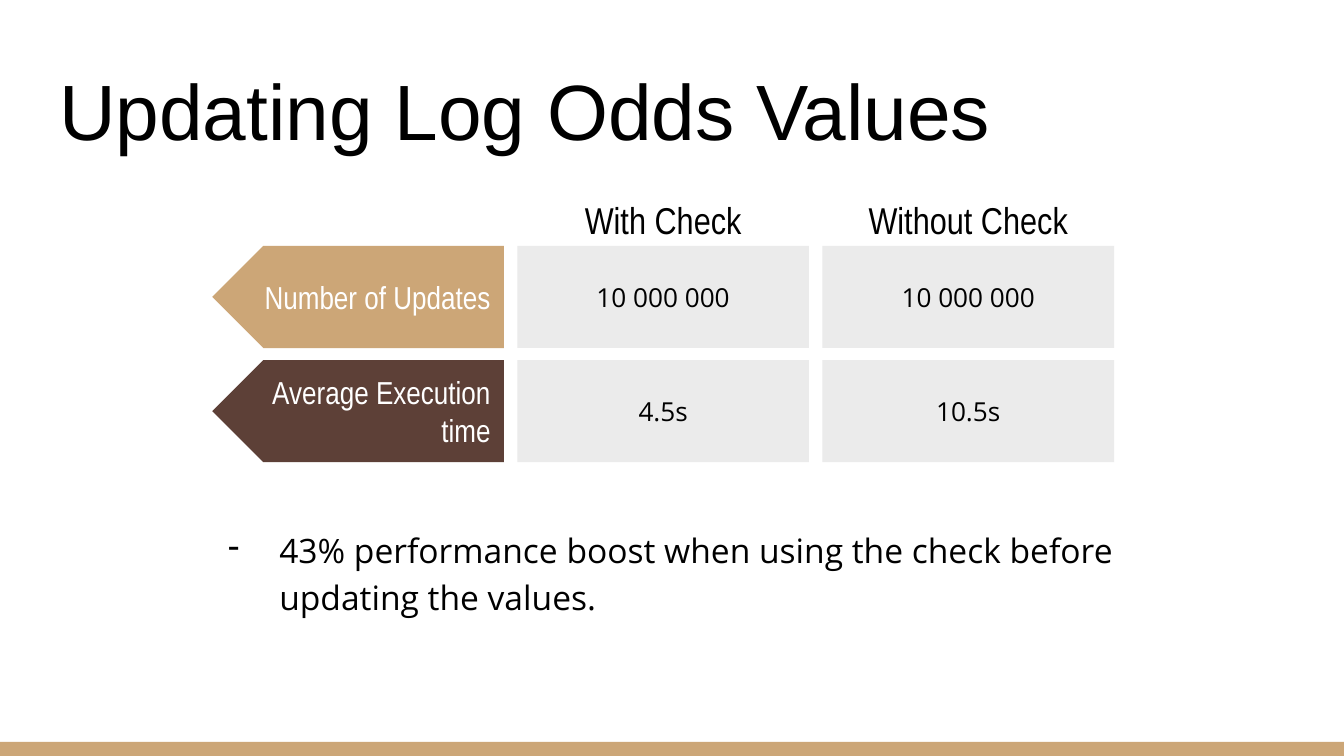
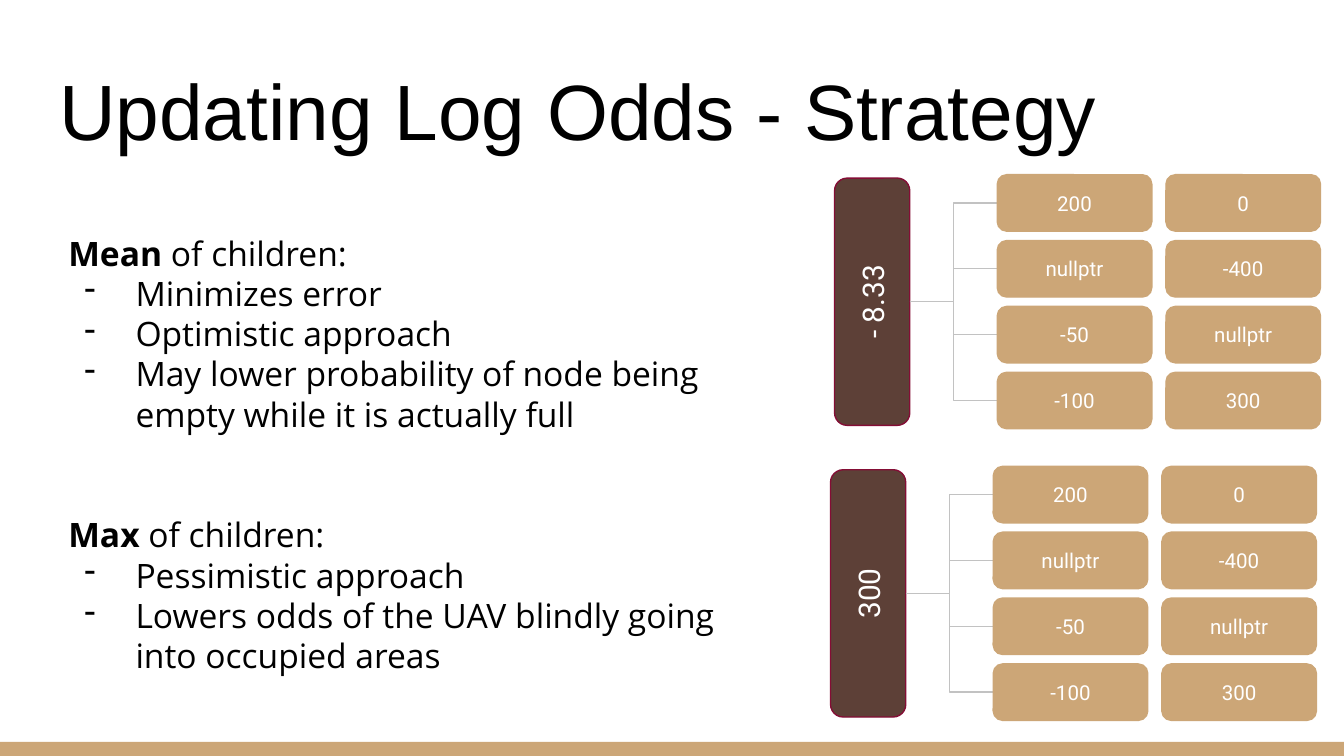
from dataclasses import dataclass

from lxml.etree import SubElement
from pptx import Presentation
from pptx.dml.color import RGBColor
from pptx.enum.shapes import MSO_CONNECTOR as Connector, MSO_SHAPE as Shape
from pptx.enum.text import MSO_ANCHOR as Anchor, MSO_AUTO_SIZE as AutoSize, PP_ALIGN as Align
from pptx.oxml.ns import qn
from pptx.util import Pt

SCALE = 4572
WIDTH, HEIGHT = 2000, 1125
INSET = 20
LEAVES = [("200", "0"), ("nullptr", "-400"), ("-50", "nullptr"), ("-100", "300")]


@dataclass(frozen=True)
class Theme:
    """Colours, fonts and type sizes."""
    tan: str = "CCA677"
    brown: str = "5D4037"
    wine: str = "840D35"
    gray: str = "EBEBEB"
    wire: str = "C2C2C2"
    black: str = "000000"
    white: str = "FFFFFF"
    title_font: str = "Arial"
    label_font: str = "Arial Narrow"
    body_font: str = "Open Sans"
    node_font: str = "Roboto"
    title_size: int = 42
    header_size: int = 20
    body_size: int = 18
    label_size: int = 17
    root_size: int = 16
    value_size: int = 14
    leaf_size: int = 11
    line_width: float = 0.75


def px(*lengths):
    """Turn pixel lengths into EMU."""
    return [length * SCALE for length in lengths]


def write(para, text, *, font, size, color, bold=False, align=Align.LEFT):
    """Add a formatted span to a paragraph."""
    para.alignment = align
    span = para.add_run()
    span.text = text
    span.font.name = font
    span.font.size = Pt(size)
    span.font.bold = bold
    span.font.color.rgb = RGBColor.from_string(color)


def set_dash(para, color):
    """Give a paragraph a hanging dash bullet."""
    props = para._p.get_or_add_pPr()
    indent, hang = px(100, -76)
    props.set("marL", str(indent))
    props.set("indent", str(hang))
    tint = SubElement(props, qn("a:buClr"))
    SubElement(tint, qn("a:srgbClr"), val=color)
    SubElement(props, qn("a:buChar"), char="-")


class Slides:
    """Hold the deck, its theme and the current page."""

    def __init__(self, theme):
        """Start an empty deck."""
        self.theme = theme
        self.deck = Presentation()
        self.deck.slide_width, self.deck.slide_height = px(WIDTH, HEIGHT)
        self.page = None

    def add_page(self, title):
        """Start a page with the bottom band and a title."""
        theme = self.theme
        self.page = self.deck.slides.add_slide(self.deck.slide_layouts[5])
        self.shape(Shape.RECTANGLE, 0, 1104, WIDTH, 21, theme.tan)
        box = self.page.shapes.title
        box.left, box.top, box.width, box.height = px(68, 70, 1864, 182)
        frame = self.frame(box, Anchor.BOTTOM)
        write(frame.paragraphs[0], title, font=theme.title_font,
              size=theme.title_size, color=theme.black)

    def frame(self, box, anchor):
        """Set the insets, wrapping and anchor of a text frame."""
        frame = box.text_frame
        frame.auto_size = AutoSize.NONE
        frame.word_wrap = True
        frame.vertical_anchor = anchor
        (inset,) = px(INSET)
        frame.margin_left = frame.margin_right = inset
        frame.margin_top = frame.margin_bottom = inset
        return frame

    def text_box(self, x, y, width, height, anchor=Anchor.MIDDLE):
        """Add an empty text box and return its frame."""
        box = self.page.shapes.add_textbox(*px(x, y, width, height))
        return self.frame(box, anchor)

    def label(self, text, x, y, width, height, **style):
        """Add a text box with one line of text."""
        write(self.text_box(x, y, width, height).paragraphs[0], text, **style)

    def shape(self, kind, x, y, width, height, fill, line=None, text=None, **style):
        """Add a filled shape, with centred text if given."""
        shape = self.page.shapes.add_shape(kind, *px(x, y, width, height))
        shape.shadow.inherit = False
        shape.fill.solid()
        shape.fill.fore_color.rgb = RGBColor.from_string(fill)
        if line:
            shape.line.color.rgb = RGBColor.from_string(line)
            shape.line.width = Pt(self.theme.line_width)
        else:
            shape.line.fill.background()
        if text:
            frame = self.frame(shape, Anchor.MIDDLE)
            write(frame.paragraphs[0], text, align=Align.CENTER, **style)
        return shape

    def left_arrow(self, x, y, width, height, fill):
        """Add a pentagon that points left."""
        arrow = self.shape(Shape.PENTAGON, x, y, width, height, fill)
        arrow.element.spPr.find(qn("a:xfrm")).set("flipH", "1")

    def elbow(self, x1, y1, x2, y2):
        """Add a thin elbow connector."""
        wire = self.page.shapes.add_connector(Connector.ELBOW, *px(x1, y1, x2, y2))
        wire.line.color.rgb = RGBColor.from_string(self.theme.wire)
        wire.line.width = Pt(self.theme.line_width)
        SubElement(wire.element.spPr, qn("a:effectLst"))

    def dash_item(self, para, text):
        """Fill a paragraph as a dashed list item."""
        theme = self.theme
        write(para, text, font=theme.body_font, size=theme.body_size, color=theme.black)
        set_dash(para, theme.black)

    def tree(self, x, y, root):
        """Draw a root node wired to rows of two leaves."""
        theme = self.theme
        leaf_width, leaf_height, row_pitch, column_pitch = 230, 84, 98, 251
        root_width, root_length, gap = 112, 368, 130
        root_right = x - gap
        middle = y + (3 * row_pitch + leaf_height) // 2
        node = self.shape(Shape.ROUNDED_RECTANGLE,
                          root_right - (root_width + root_length) // 2,
                          middle - root_width // 2, root_length, root_width,
                          theme.brown, theme.wine, root, font=theme.node_font,
                          size=theme.root_size, color=theme.white)
        node.rotation = 270
        for row, values in enumerate(LEAVES):
            top = y + row * row_pitch
            self.elbow(root_right, middle, x, top + leaf_height // 2)
            for column, value in enumerate(values):
                self.shape(Shape.ROUNDED_RECTANGLE, x + column * column_pitch, top,
                           leaf_width, leaf_height, theme.tan, theme.tan, value,
                           font=theme.node_font, size=theme.leaf_size, color=theme.white)


def build_values(slides):
    """Build the comparison of updates with and without the check."""
    theme = slides.theme
    slides.add_page("Updating Log Odds Values")
    left, top, width, height = 316, 366, 434, 152
    column_pitch, row_pitch = 454, 170
    columns = [left + column_pitch * step for step in (1, 2)]
    for x, header in zip(columns, ("With Check", "Without Check")):
        slides.label(header, x, 288, width, 78, font=theme.label_font,
                     size=theme.header_size, color=theme.black, align=Align.CENTER)
    rows = [("Number of Updates", theme.tan, ("10 000 000", "10 000 000")),
            ("Average Execution time", theme.brown, ("4.5s", "10.5s"))]
    for row, (name, fill, values) in enumerate(rows):
        y = top + row * row_pitch
        slides.left_arrow(left, y, width, height, fill)
        slides.label(name, left, y, width, height, font=theme.label_font,
                     size=theme.label_size, color=theme.white, align=Align.RIGHT)
        for x, value in zip(columns, values):
            slides.shape(Shape.RECTANGLE, x, y, width, height, theme.gray, text=value,
                         font=theme.body_font, size=theme.value_size, color=theme.black)
    para = slides.text_box(296, 760, 1388, 222, Anchor.TOP).paragraphs[0]
    para.line_spacing = 1.15
    slides.dash_item(para, "43% performance boost when using the check before "
                           "updating the values.")


def build_strategy(slides):
    """Build the mean and max strategies with their trees."""
    theme = slides.theme
    slides.add_page("Updating Log Odds - Strategy")
    frame = slides.text_box(82, 326, 1090, 708, Anchor.TOP)
    strategies = [
        ("Mean", ["Minimizes error", "Optimistic approach",
                  "May lower probability of node being empty while it is actually full"]),
        ("Max", ["Pessimistic approach",
                 "Lowers odds of the UAV blindly going into occupied areas"])]
    style = dict(font=theme.body_font, size=theme.body_size, color=theme.black)
    for order, (name, points) in enumerate(strategies):
        para = frame.add_paragraph() if order else frame.paragraphs[0]
        para.space_before = Pt(43 * order)
        write(para, name + " ", bold=True, **style)
        write(para, "of children:", **style)
        for point in points:
            slides.dash_item(frame.add_paragraph(), point)
    slides.tree(1484, 260, "- 8.33")
    slides.tree(1478, 694, "300")


def main():
    """Build and save the deck."""
    slides = Slides(Theme())
    build_values(slides)
    build_strategy(slides)
    slides.deck.save("out.pptx")


if __name__ == "__main__":
    main()
